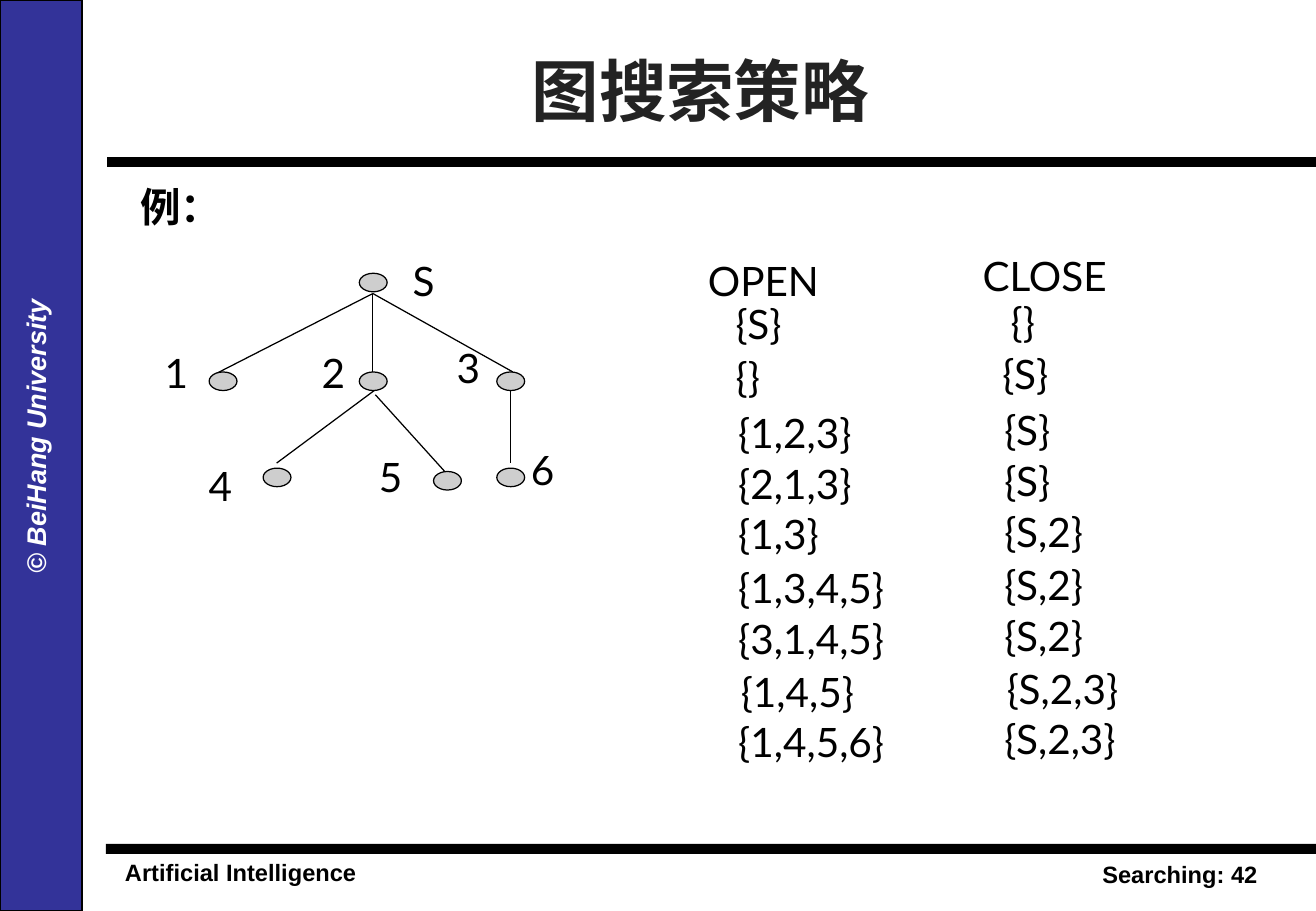
from dataclasses import dataclass

from lxml.etree import SubElement
from pptx import Presentation
from pptx.dml.color import RGBColor
from pptx.enum.shapes import MSO_CONNECTOR, MSO_SHAPE
from pptx.enum.text import MSO_ANCHOR, MSO_AUTO_SIZE, PP_ALIGN
from pptx.oxml.ns import qn
from pptx.util import Pt


@dataclass(frozen=True)
class Theme:
    ink: str = "000000"
    title_ink: str = "232323"
    paper: str = "FFFFFF"
    band: str = "333399"
    node: str = "CECECE"
    sans: str = "Arial"
    body: str = "Lato"
    cjk: str = "Noto Sans CJK SC"
    title_size: float = 40
    body_size: float = 24
    band_size: float = 16
    footer_size: float = 14
    hairline: float = 0.75
    rule: float = 6


@dataclass(frozen=True)
class Node:
    label: str
    x: float
    y: float
    label_x: float
    label_y: float


@dataclass(frozen=True)
class Edge:
    x1: float
    y1: float
    x2: float
    y2: float


@dataclass(frozen=True)
class Step:
    """One search step: the OPEN and CLOSE lists and where they stand."""
    opened: str
    closed: str
    top: float
    open_x: float = 430.5
    close_x: float = 588.25
    open_w: float = 133
    close_w: float = 84


T = Theme()
WIDTH, HEIGHT = 780, 540
NODE_W, NODE_H = 16.5, 11
LABEL_W, LINE_H = 40, 36
SHORT_W, LIST_W = 55.5, 94.5
CLOSE_RISE = 1.75

NODES = [
    Node("S", 213, 162, 237.5, 148.5),
    Node("1", 124, 220.5, 90.5, 202.5),
    Node("2", 213, 220.5, 183.5, 202.5),
    Node("3", 294.5, 220.5, 263.5, 199.5),
    Node("4", 156, 277.5, 116.5, 270),
    Node("5", 257, 279.5, 217.5, 264.25),
    Node("6", 294.5, 277.5, 307.5, 260.5),
]
EDGES = [
    Edge(221, 174, 128, 221.5),
    Edge(221, 174, 221, 220.5),
    Edge(221, 174, 304, 220.5),
    Edge(222.5, 231, 164, 274.5),
    Edge(222.5, 234, 265, 281),
    Edge(302.5, 231, 302.5, 274.5),
]
STEPS = [
    Step("{S}", "{}", 174, 429, 592, SHORT_W, SHORT_W),
    Step("{}", "{S}", 205.25, 429, 587, SHORT_W, SHORT_W),
    Step("{1,2,3}", "{S}", 238.5, open_w=LIST_W, close_w=SHORT_W),
    Step("{2,1,3}", "{S}", 268.75, open_w=LIST_W, close_w=SHORT_W),
    Step("{1,3}", "{S,2}", 298.5, open_w=LIST_W),
    Step("{1,3,4,5}", "{S,2}", 330),
    Step("{3,1,4,5}", "{S,2}", 360.25),
    Step("{1,4,5}", "{S,2,3}", 392, 432, 589.75, close_w=141),
    Step("{1,4,5,6}", "{S,2,3}", 421.5, close_w=141),
]


def rgb(color: str) -> RGBColor:
    return RGBColor.from_string(color)


def write(tf, text: str, *, size: float = T.body_size, font: str = T.body,
          color: str = T.ink, bold: bool = False, italic: bool = False,
          align=PP_ALIGN.LEFT) -> None:
    p = tf.paragraphs[0]
    p.alignment = align
    r = p.add_run()
    r.text = text
    r.font.size, r.font.name = Pt(size), font
    r.font.bold, r.font.italic = bold, italic
    r.font.color.rgb = rgb(color)
    SubElement(r._r.get_or_add_rPr(), qn("a:ea"), typeface=T.cjk)


def add_text(s, text: str, x: float, y: float, w: float, h: float = LINE_H, *,
             rotation: float = 0, wrap: bool = True, **format) -> None:
    sp = s.shapes.add_textbox(Pt(x), Pt(y), Pt(w), Pt(h))
    sp.rotation = rotation
    sp.text_frame.word_wrap = wrap
    sp.text_frame.auto_size = MSO_AUTO_SIZE.SHAPE_TO_FIT_TEXT
    write(sp.text_frame, text, **format)


def add_filled(s, kind, x: float, y: float, w: float, h: float, fill: str,
               line: float = 0) -> None:
    sp = s.shapes.add_shape(kind, Pt(x), Pt(y), Pt(w), Pt(h))
    sp.shadow.inherit = False
    sp.fill.solid()
    sp.fill.fore_color.rgb = rgb(fill)
    if line:
        sp.line.color.rgb = rgb(T.ink)
        sp.line.width = Pt(line)
    else:
        sp.line.fill.background()


def add_line(s, e: Edge, width: float = T.hairline) -> None:
    c = s.shapes.add_connector(MSO_CONNECTOR.STRAIGHT, Pt(e.x1), Pt(e.y1), Pt(e.x2), Pt(e.y2))
    c.line.color.rgb = rgb(T.ink)
    c.line.width = Pt(width)
    SubElement(c._element.spPr, qn("a:effectLst"))


def add_frame(s) -> None:
    """Side band, rules and footers."""
    footer = dict(size=T.footer_size, font=T.sans, bold=True)
    add_text(s, "Artificial Intelligence", 67, 504.75, 152, 24, wrap=False, **footer)
    add_text(s, "Searching: 42", 520.5, 506.25, 232, 24, align=PP_ALIGN.RIGHT, **footer)
    add_filled(s, MSO_SHAPE.RECTANGLE, 62.75, 500.25, WIDTH - 62.75, 6, T.ink)
    add_filled(s, MSO_SHAPE.RECTANGLE, 0, 0, 48.5, HEIGHT, T.band, line=1)
    add_line(s, Edge(63.5, 96.25, WIDTH, 96.25), T.rule)
    add_text(s, "© BeiHang University", -237.5, 245.5, 517, 26.5, rotation=270,
             size=T.band_size, font=T.sans, color=T.paper, bold=True, italic=True,
             align=PP_ALIGN.CENTER)


def add_title(s, text: str) -> None:
    sp = s.shapes.title
    sp.left, sp.top, sp.width, sp.height = Pt(67), Pt(16), Pt(696), Pt(74)
    tf = sp.text_frame
    tf.vertical_anchor = MSO_ANCHOR.MIDDLE
    tf.auto_size = MSO_AUTO_SIZE.NONE
    write(tf, text, size=T.title_size, font=T.cjk, color=T.title_ink, bold=True,
          align=PP_ALIGN.CENTER)


def add_tree(s) -> None:
    for edge in EDGES:
        add_line(s, edge)
    for n in NODES:
        add_filled(s, MSO_SHAPE.OVAL, n.x, n.y, NODE_W, NODE_H, T.node, T.hairline)
        add_text(s, n.label, n.label_x, n.label_y, LABEL_W)


def add_steps(s) -> None:
    add_text(s, "OPEN", 412.5, 148.5, 88)
    add_text(s, "CLOSE", 575.25, 145.5, 147.5)
    for step in STEPS:
        add_text(s, step.opened, step.open_x, step.top, step.open_w)
        add_text(s, step.closed, step.close_x, step.top - CLOSE_RISE, step.close_w)


def main() -> None:
    prs = Presentation()
    prs.slide_width, prs.slide_height = Pt(WIDTH), Pt(HEIGHT)
    s = prs.slides.add_slide(prs.slide_layouts[5])
    add_frame(s)
    add_title(s, "图搜索策略")
    add_text(s, "例：", 62, 104.5, 90.5, font=T.sans, bold=True, align=PP_ALIGN.CENTER)
    add_tree(s)
    add_steps(s)
    prs.save("out.pptx")


if __name__ == "__main__":
    main()
